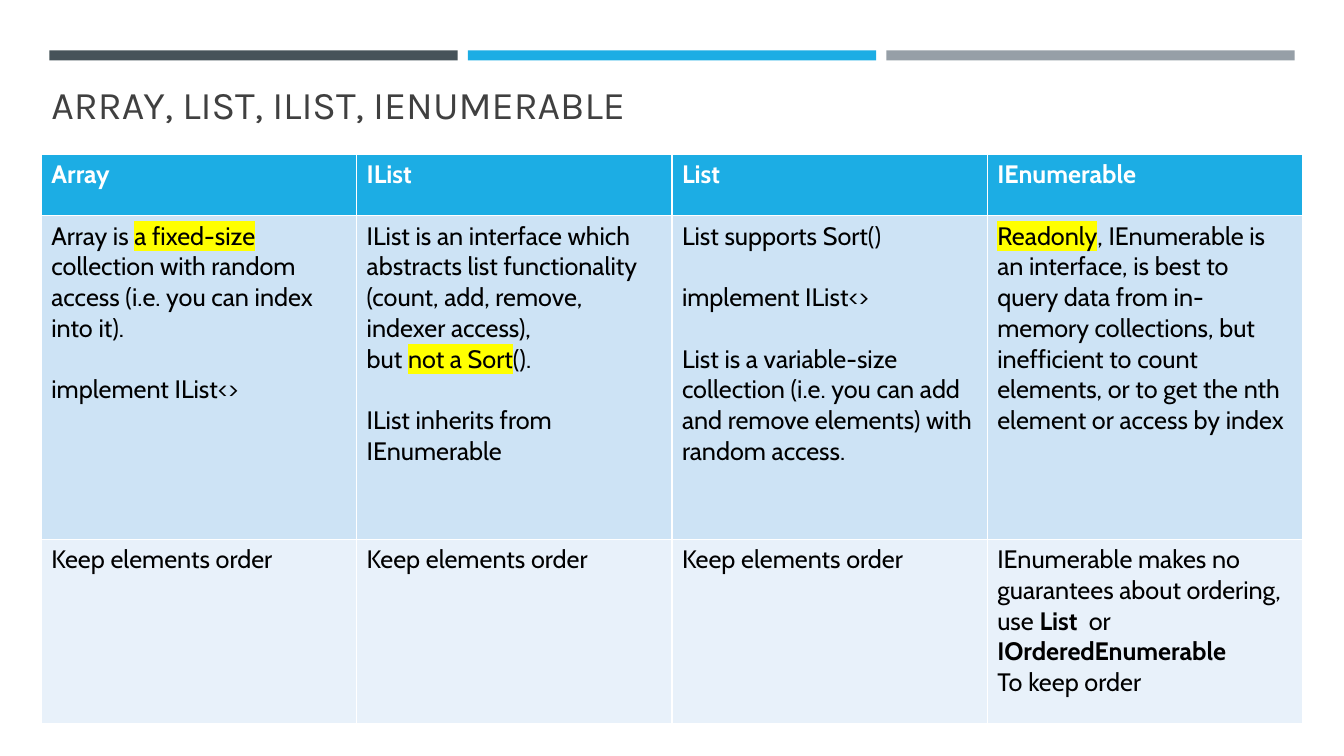
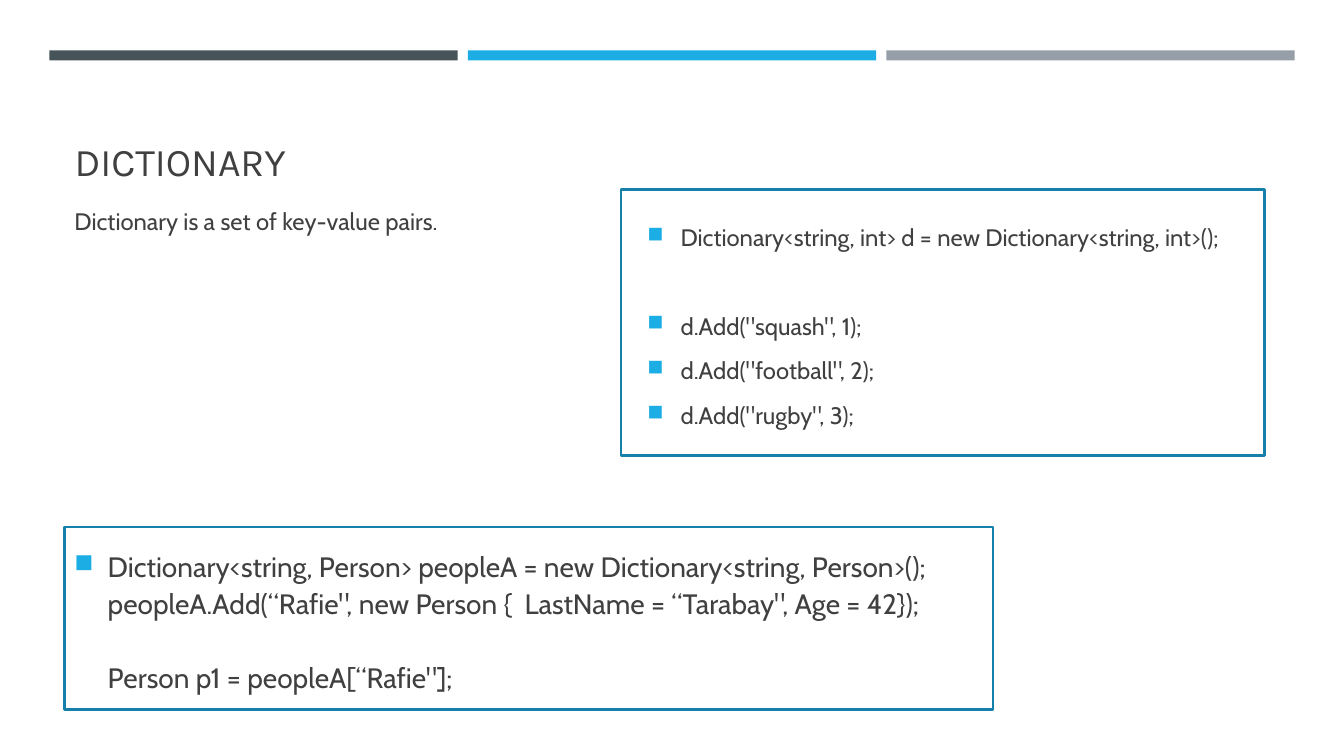
from dataclasses import dataclass

from lxml.etree import SubElement
from pptx import Presentation
from pptx.dml.color import RGBColor
from pptx.enum.shapes import MSO_SHAPE
from pptx.enum.text import MSO_ANCHOR, MSO_AUTO_SIZE, PP_ALIGN
from pptx.oxml.ns import qn
from pptx.util import Inches, Pt


@dataclass(frozen=True)
class Theme:
    heading_font: str = "Karla"
    body_font: str = "Cabin"
    title_size: float = 28
    table_size: float = 18
    body_size: float = 17
    code_size: float = 20
    ink: str = "404040"
    black: str = "000000"
    white: str = "FFFFFF"
    slate: str = "465359"
    blue: str = "1CADE4"
    grey: str = "969FA7"
    outline: str = "1580A9"
    marker: str = "FFFF00"
    row_fills: tuple = ("1CADE4", "CDE3F5", "E8F1FA")


theme = Theme()


def add_span(para, text, size, color, font=theme.body_font, style=""):
    span = para.add_run()
    span.text = text
    span.font.size = Pt(size)
    span.font.bold = style == "bold"
    span.font.color.rgb = RGBColor.from_string(color)
    span.font.name = font
    if style == "mark":
        properties = span.font.fill._xPr
        highlight = SubElement(properties, qn("a:highlight"))
        SubElement(highlight, qn("a:srgbClr"), val=theme.marker)
        properties.find(qn("a:solidFill")).addnext(highlight)


def add_titled_page(deck, text, left, top, width, height):
    page = deck.slides.add_slide(deck.slide_layouts[5])
    title = page.shapes.title
    title.left, title.top = Inches(left), Inches(top)
    title.width, title.height = Inches(width), Inches(height)
    frame = title.text_frame
    frame.auto_size = MSO_AUTO_SIZE.NONE
    frame.vertical_anchor = MSO_ANCHOR.BOTTOM
    para = frame.paragraphs[0]
    para.alignment = PP_ALIGN.LEFT
    add_span(para, text, theme.title_size, theme.ink, theme.heading_font)
    return page


deck = Presentation()
deck.slide_width, deck.slide_height = Inches(13.33), Inches(7.5)

page = add_titled_page(deck, "ARRAY, LIST, ILIST, IENUMERABLE", 0.41, 0.67, 12.29, 0.64)

for index, color in enumerate((theme.slate, theme.blue, theme.grey)):
    band = page.shapes.add_shape(
        MSO_SHAPE.RECTANGLE, Inches(0.49 + index * 4.15), Inches(0.5), Inches(4.05), Inches(0.1)
    )
    band.shadow.inherit = False
    band.fill.solid()
    band.fill.fore_color.rgb = RGBColor.from_string(color)
    band.line.fill.background()
    page.slide_layout.shapes.element.append(band.element)

table_gap = 22
keep_order = [(0, [("Keep elements order", "")])]
rows = [
    [[(0, [(name, "bold")])] for name in ("Array", "IList", "List", "IEnumerable")],
    [
        [
            (0, [
                ("Array is ", ""),
                ("a fixed-size ", "mark"),
                ("collection with random access (i.e. you can index into it).", ""),
            ]),
            (table_gap, [("implement IList<>", "")]),
        ],
        [
            (0, [("IList is an interface which abstracts list functionality "
                  "(count, add, remove, indexer access),", "")]),
            (0, [("but ", ""), ("not a Sort", "mark"), ("().", "")]),
            (table_gap, [("IList inherits from IEnumerable", "")]),
        ],
        [
            (0, [("List supports Sort()", "")]),
            (table_gap, [("implement IList<>", "")]),
            (table_gap, [("List is a variable-size collection (i.e. you can add "
                          "and remove elements) with random access.", "")]),
        ],
        [
            (0, [
                ("Readonly", "mark"),
                (", IEnumerable is an interface, is best to query data from in-memory "
                 "collections, but inefficient to count elements, or to get the nth "
                 "element or access by index", ""),
            ]),
        ],
    ],
    [
        keep_order,
        keep_order,
        keep_order,
        [
            (0, [
                ("IEnumerable makes no guarantees about ordering, use ", ""),
                ("List ", "bold"),
                (" or ", ""),
                ("IOrderedEnumerable", "bold"),
            ]),
            (0, [("To keep order", "")]),
        ],
    ],
]
table = page.shapes.add_table(
    3, 4, Inches(0.41), Inches(1.53), Inches(12.51), Inches(5.65)
).table
for row, height in zip(table.rows, (0.61, 3.21, 1.83)):
    row.height = Inches(height)
for row_index, row in enumerate(rows):
    color = theme.black if row_index else theme.white
    for column_index, paragraphs in enumerate(row):
        cell = table.cell(row_index, column_index)
        cell.fill.solid()
        cell.fill.fore_color.rgb = RGBColor.from_string(theme.row_fills[row_index])
        for index, (gap, spans) in enumerate(paragraphs):
            frame = cell.text_frame
            para = frame.add_paragraph() if index else frame.paragraphs[0]
            para.space_before = Pt(gap)
            for text, style in spans:
                add_span(para, text, theme.table_size, color, style=style)

page = add_titled_page(deck, "DICTIONARY", 0.64, 0.8, 12.06, 1.08)

box = page.shapes.add_textbox(Inches(0.64), Inches(1.88), Inches(3.99), Inches(0.6))
box.text_frame.word_wrap = True
box.text_frame.vertical_anchor = MSO_ANCHOR.MIDDLE
para = box.text_frame.paragraphs[0]
para.line_spacing = 1.1
add_span(para, "Dictionary is a set of key-value pairs.", theme.body_size, theme.ink)

code_boxes = [
    ((6.16, 1.88, 6.38, 2.64), 0.26, theme.body_size, [
        (0, True, "Dictionary<string, int> d = new Dictionary<string, int>();"),
        (41, True, 'd.Add("squash", 1);'),
        (9.4, True, 'd.Add("football", 2);'),
        (9.4, True, 'd.Add("rugby", 3);'),
    ]),
    ((0.64, 5.23, 9.21, 1.81), 0.1, theme.code_size, [
        (0, True, "Dictionary<string, Person> peopleA = new Dictionary<string, Person>();"),
        (0, False, 'peopleA.Add(“Rafie", new Person {  LastName = “Tarabay", Age = 42});'),
        (26.7, False, 'Person p1 = peopleA[“Rafie"];'),
    ]),
]
for place, inset, size, lines in code_boxes:
    box = page.shapes.add_shape(MSO_SHAPE.RECTANGLE, *map(Inches, place))
    box.shadow.inherit = False
    box.fill.background()
    box.line.color.rgb = RGBColor.from_string(theme.outline)
    box.line.width = Pt(1.75)
    frame = box.text_frame
    frame.word_wrap = True
    frame.vertical_anchor = MSO_ANCHOR.MIDDLE
    frame.margin_left = Inches(inset)
    frame.margin_top = Inches(0.09)
    for index, (gap, bulleted, text) in enumerate(lines):
        para = frame.add_paragraph() if index else frame.paragraphs[0]
        para.alignment = PP_ALIGN.LEFT
        para.line_spacing = 1.1
        para.space_before = Pt(gap)
        properties = para._p.get_or_add_pPr()
        properties.set("marL", str(Inches(0.33)))
        properties.set("indent", str(-Inches(0.33) if bulleted else 0))
        if bulleted:
            bullet_color = SubElement(properties, qn("a:buClr"))
            SubElement(bullet_color, qn("a:srgbClr"), val=theme.blue)
            SubElement(properties, qn("a:buSzPct"), val="92000")
            SubElement(properties, qn("a:buChar"), char="■")
        add_span(para, text, size, theme.ink)

deck.save("out.pptx")
